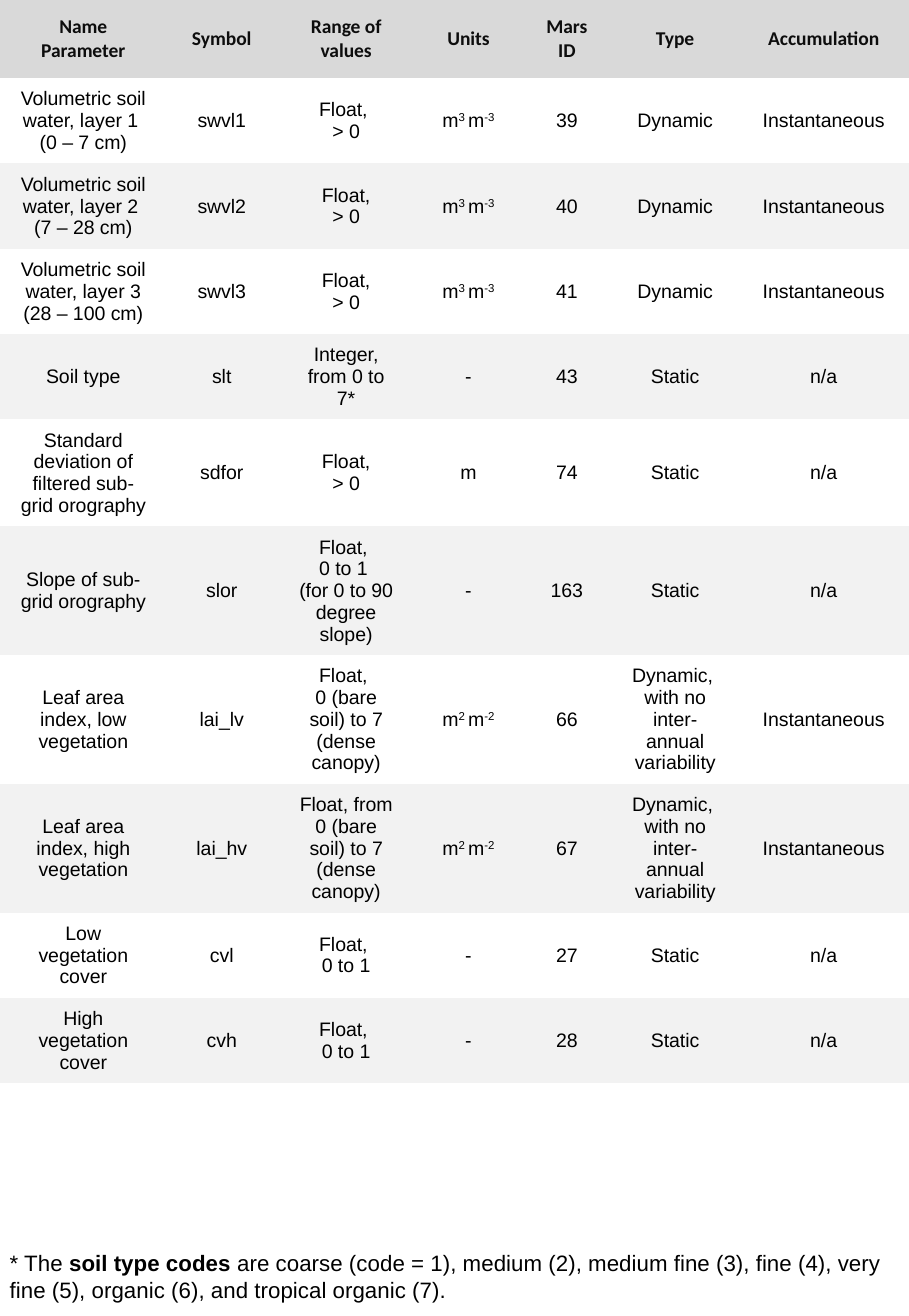
from dataclasses import dataclass

from pptx import Presentation
from pptx import util as u
from pptx.dml.color import RGBColor
from pptx.enum import text
from pptx.oxml.ns import qn


@dataclass(frozen=True)
class Theme:
    heading_font: str = "Calibri"
    body_font: str = "Arial"
    heading_ink: str = "0D0D0D"
    body_ink: str = "000000"
    heading_fill: str = "D9D9D9"
    band_fills: tuple = ("FFFFFF", "F2F2F2")
    table_size: float = 7
    note_size: float = 8


THEME = Theme()
WIDTH, HEIGHT = 4.53, 6.56
COLUMN_WIDTHS = (0.83, 0.55, 0.69, 0.53, 0.45, 0.63, 0.85)
ROW_HEIGHT = 0.39
TABLE_HEIGHT = 6.18
NOTE_OUTDENT = 0.05
PLAIN_STYLE = "{2D5ABB26-0587-4C30-8999-92F81FD0307C}"

HEADINGS = ("Name Parameter", "Symbol", "Range of values", "Units", "Mars ID", "Type", "Accumulation")
WATER = "m|3 |m|-3"
LEAF = "m|2 |m|-2"
SEASONAL = "Dynamic, \nwith no inter-annual variability"
PARAMETERS = (
    ("Volumetric soil water, layer 1 \n(0 – 7 cm)", "swvl1", "Float, \n> 0", WATER, "39", "Dynamic", "Instantaneous"),
    ("Volumetric soil water, layer 2 \n(7 – 28 cm)", "swvl2", "Float,\n> 0", WATER, "40", "Dynamic", "Instantaneous"),
    ("Volumetric soil water, layer 3 (28 – 100 cm)", "swvl3", "Float,\n> 0", WATER, "41", "Dynamic", "Instantaneous"),
    ("Soil type", "slt", "Integer, from 0 to 7*", "-", "43", "Static", "n/a"),
    ("Standard deviation of filtered sub-grid orography", "sdfor", "Float,\n> 0", "m", "74", "Static", "n/a"),
    ("Slope of sub-grid orography", "slor", "Float, \n0 to 1 \n(for 0 to 90 degree slope)", "-", "163", "Static", "n/a"),
    ("Leaf area index, low vegetation", "lai_lv", "Float, \n0 (bare soil) to 7 (dense canopy)", LEAF, "66", SEASONAL, "Instantaneous"),
    ("Leaf area index, high vegetation", "lai_hv", "Float, from 0 (bare soil) to 7 (dense canopy)", LEAF, "67", SEASONAL, "Instantaneous"),
    ("Low vegetation cover", "cvl", "Float, \n0 to 1", "-", "27", "Static", "n/a"),
    ("High vegetation cover", "cvh", "Float, \n0 to 1", "-", "28", "Static", "n/a"),
)
SOIL_NOTE = (
    "* The |soil type codes| are coarse (code = 1), medium (2), medium fine (3), "
    "fine (4), very fine (5), organic (6), and tropical organic (7)."
)


def make_superscript(run):
    run._r.get_or_add_rPr().set("baseline", "30000")


def make_bold(run):
    run.font.bold = True


def write(frame, content, emphasise, name, size, ink, bold=False, align=text.PP_ALIGN.LEFT):
    for index, line in enumerate(content.split("\n")):
        paragraph = frame.add_paragraph() if index else frame.paragraphs[0]
        paragraph.alignment = align
        font = paragraph.font
        font.name, font.size, font.bold = name, u.Pt(size), bold
        font.color.rgb = RGBColor.from_string(ink)
        for position, piece in enumerate(line.split("|")):
            run = paragraph.add_run()
            run.text = piece
            if position % 2:
                emphasise(run)


def fill_cell(cell, content, fill, name, ink, bold):
    cell.fill.solid()
    cell.fill.fore_color.rgb = RGBColor.from_string(fill)
    cell.vertical_anchor = text.MSO_ANCHOR.MIDDLE
    write(cell.text_frame, content, make_superscript, name, THEME.table_size, ink, bold, text.PP_ALIGN.CENTER)


def add_parameter_table(slide, left, top, width, height):
    rows = (HEADINGS,) + PARAMETERS
    box = [u.Inches(value) for value in (left, top, width, height)]
    shape = slide.shapes.add_table(len(rows), len(HEADINGS), *box)
    table = shape.table
    table.horz_banding = False
    table._tbl.tblPr.find(qn("a:tableStyleId")).text = PLAIN_STYLE
    for column, share in zip(table.columns, COLUMN_WIDTHS):
        column.width = u.Inches(width * share / sum(COLUMN_WIDTHS))
    for index, (row, contents) in enumerate(zip(table.rows, rows)):
        row.height = u.Inches(ROW_HEIGHT)
        if index:
            style = (THEME.band_fills[(index - 1) % 2], THEME.body_font, THEME.body_ink, False)
        else:
            style = (THEME.heading_fill, THEME.heading_font, THEME.heading_ink, True)
        for cell, content in zip(row.cells, contents):
            fill_cell(cell, content, *style)
    shape.height = u.Inches(height)


def add_soil_note(slide, left, top, width, height):
    box = [u.Inches(value) for value in (left, top, width, height)]
    frame = slide.shapes.add_textbox(*box).text_frame
    frame.word_wrap = True
    frame.auto_size = text.MSO_AUTO_SIZE.SHAPE_TO_FIT_TEXT
    write(frame, SOIL_NOTE, make_bold, THEME.body_font, THEME.note_size, THEME.body_ink)


def main():
    presentation = Presentation()
    presentation.slide_width = u.Inches(WIDTH)
    presentation.slide_height = u.Inches(HEIGHT)
    slide = presentation.slides.add_slide(presentation.slide_layouts[6])
    add_parameter_table(slide, 0, 0, WIDTH, TABLE_HEIGHT)
    add_soil_note(slide, -NOTE_OUTDENT, TABLE_HEIGHT, WIDTH + NOTE_OUTDENT, HEIGHT - TABLE_HEIGHT)
    presentation.save("out.pptx")


if __name__ == "__main__":
    main()
